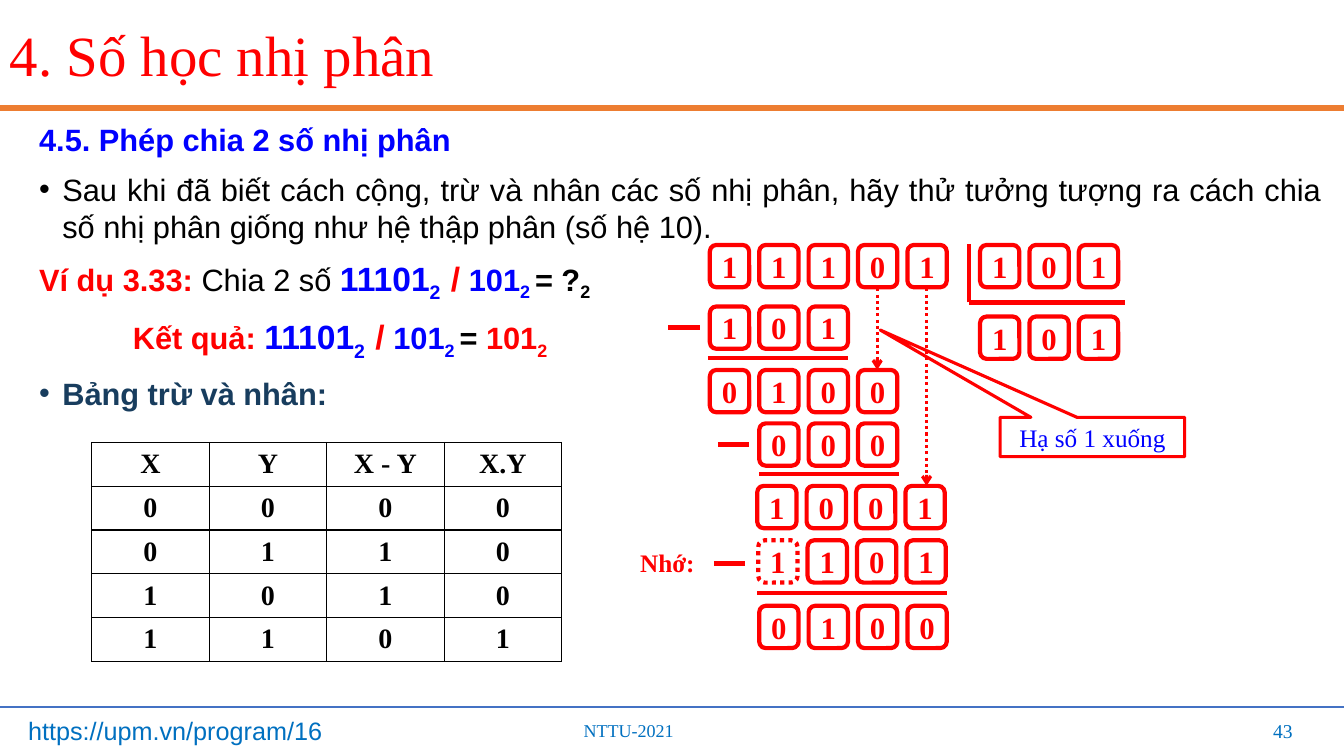
from lxml import etree
from pptx import Presentation
from pptx.dml.color import RGBColor
from pptx.enum.dml import MSO_LINE
from pptx.enum.shapes import MSO_CONNECTOR, MSO_SHAPE
from pptx.enum.text import MSO_ANCHOR, PP_ALIGN
from pptx.oxml.ns import qn
from pptx.util import Pt

PX = 9144
STRAIGHT = MSO_CONNECTOR.STRAIGHT
ROUNDED = MSO_SHAPE.ROUNDED_RECTANGLE
CALLOUT = MSO_SHAPE.RECTANGULAR_CALLOUT
DOTTED = MSO_LINE.ROUND_DOT
TOP, MIDDLE = MSO_ANCHOR.TOP, MSO_ANCHOR.MIDDLE
LEFT, CENTER, RIGHT, JUSTIFY = PP_ALIGN.LEFT, PP_ALIGN.CENTER, PP_ALIGN.RIGHT, PP_ALIGN.JUSTIFY
SANS, SERIF = "Arial", "Times New Roman"
RED, BLUE, BLACK, NAVY, FOOTER = "FF0000", "0000FF", "000000", "183D5E", "0070C0"
DIGIT_WIDTH, DIGIT_HEIGHT, PITCH = 39, 42, 49


def color(value):
    """Turn a hex string into a colour."""
    return RGBColor.from_string(value)


def px(*lengths):
    """Turn px lengths into EMU."""
    return [round(length * PX) for length in lengths]


def add_span(para, text, size=22, font=SANS, fill=BLACK, bold=False, sub=False):
    """Add one formatted run to a paragraph."""
    span = para.add_run()
    span.text = text
    span.font.size = Pt(size)
    span.font.name = font
    span.font.bold = bold
    span.font.color.rgb = color(fill)
    if sub:
        span.font._element.set("baseline", "-25000")


def add_label(page, box, text, align=LEFT, anchor=TOP, wrap=True, spacing=1.0, **style):
    """Add a text box with one line of text."""
    frame = page.shapes.add_textbox(*px(*box)).text_frame
    frame.word_wrap = wrap
    frame.vertical_anchor = anchor
    para = frame.paragraphs[0]
    para.alignment = align
    para.line_spacing = spacing
    add_span(para, text, **style)


def add_outlined(page, kind, box, text, width=3, dash=None, **style):
    """Add an unfilled red shape with centred text."""
    shape = page.shapes.add_shape(kind, *px(*box))
    shape.shadow.inherit = False
    shape.fill.background()
    shape.line.color.rgb = color(RED)
    shape.line.width = Pt(width)
    if dash:
        shape.line.dash_style = dash
    frame = shape.text_frame
    frame.margin_left = frame.margin_right = frame.margin_top = frame.margin_bottom = 0
    frame.word_wrap = False
    frame.vertical_anchor = MIDDLE
    frame.paragraphs[0].alignment = CENTER
    add_span(frame.paragraphs[0], text, font=SERIF, **style)
    return shape


def add_line(page, ends, stroke=RED, width=3, arrow=False):
    """Draw a straight line, or a dotted arrow."""
    link = page.shapes.add_connector(STRAIGHT, *px(*ends))
    link.line.color.rgb = color(stroke)
    link.line.width = Pt(width)
    if arrow:
        link.line.dash_style = DOTTED
        etree.SubElement(link.line._get_or_add_ln(), qn("a:tailEnd"), type="arrow")
    etree.SubElement(link._element.spPr, qn("a:effectLst"))


def indent(para, left, hanging=0, bullet=None):
    """Set paragraph indents and an optional bullet."""
    properties = para._p.get_or_add_pPr()
    properties.set("marL", str(left * PX))
    properties.set("indent", str(-hanging * PX))
    if bullet:
        etree.SubElement(properties, qn("a:buFont"), typeface=SANS)
        etree.SubElement(properties, qn("a:buChar"), char=bullet)


def add_division(para):
    """Write the binary division expression."""
    add_span(para, "11101", size=24, fill=BLUE, bold=True)
    add_span(para, "2 ", size=24, fill=BLUE, bold=True, sub=True)
    add_span(para, " ", fill=BLUE, bold=True, sub=True)
    add_span(para, "/", size=24, fill=RED, bold=True)
    add_span(para, " ")
    add_span(para, "101", fill=BLUE, bold=True)
    add_span(para, "2 ", fill=BLUE, bold=True, sub=True)


def add_frame(page, width):
    """Place the title, the rules and the footer."""
    add_line(page, (0, 107, width, 107), "ED7D31", 4.5)
    add_line(page, (0, 701, width, 701), "4472C4", 1.5)
    add_label(page, (0, 3, width, 110), "4. Số học nhị phân", anchor=MIDDLE,
              spacing=0.9, size=40.6, font=SERIF, fill=RED)
    add_label(page, (18, 705, 343, 40), "https://upm.vn/program/16", size=18, fill=FOOTER)
    add_label(page, (569, 709, 178, 32), "NTTU-2021", size=12.9, font=SERIF, fill=FOOTER)
    add_label(page, (992, 705, 300, 40), "43", align=RIGHT, anchor=MIDDLE,
              size=14, font=SERIF, fill=FOOTER)


def add_body(page, box):
    """Write the heading, the explanation and the example."""
    frame = page.shapes.add_textbox(*px(*box)).text_frame
    frame.word_wrap = True
    heading = frame.paragraphs[0]
    intro, example, result, tables = [frame.add_paragraph() for _ in range(4)]
    for para in (intro, example, result, tables):
        para.space_before = Pt(9.2)
    heading.alignment = intro.alignment = JUSTIFY
    indent(intro, 23, 23, "•")
    indent(result, 93)
    indent(tables, 23, 23, "•")
    add_span(heading, "4.5. Phép chia 2 số nhị phân", fill=BLUE, bold=True)
    add_span(intro, "Sau khi đã biết cách cộng, trừ và nhân các số nhị phân, hãy thử tưởng "
                    "tượng ra cách chia số nhị phân giống như hệ thập phân (số hệ 10).")
    add_span(example, "Ví dụ 3.33: ", fill=RED, bold=True)
    add_span(example, "Chia 2 số ")
    add_division(example)
    add_span(example, "= ?", bold=True)
    add_span(example, "2", bold=True, sub=True)
    add_span(result, "Kết quả: ", fill=RED, bold=True)
    add_division(result)
    add_span(result, "= ", bold=True)
    add_span(result, "101", fill=RED, bold=True)
    add_span(result, "2", fill=RED, bold=True, sub=True)
    add_span(tables, "Bảng trừ và nhân:", fill=NAVY, bold=True)


def add_border(cell):
    """Give a cell thin black borders and no fill."""
    properties = cell._tc.get_or_add_tcPr()
    for side in ("a:lnL", "a:lnR", "a:lnT", "a:lnB"):
        edge = etree.SubElement(properties, qn(side), w=str(Pt(1)))
        fill = etree.SubElement(edge, qn("a:solidFill"))
        etree.SubElement(fill, qn("a:srgbClr"), val=BLACK)
    cell.fill.background()


def add_truth_table(page, box):
    """Tabulate subtraction and multiplication of two bits."""
    rows = [("X", "Y", "X - Y", "X.Y"), "0000", "0110", "1010", "1101"]
    table = page.shapes.add_table(len(rows), 4, *px(*box)).table
    table.first_row = table.horz_banding = False
    for row, values in enumerate(rows):
        for column, value in enumerate(values):
            cell = table.cell(row, column)
            add_border(cell)
            cell.vertical_anchor = MIDDLE
            para = cell.text_frame.paragraphs[0]
            para.alignment = CENTER
            add_span(para, value, size=20, font=SERIF, bold=True)


def add_digits(page, left, top, digits, dotted_first=False):
    """Place a row of boxed digits."""
    for place, digit in enumerate(digits):
        add_outlined(page, ROUNDED, (left + place * PITCH, top, DIGIT_WIDTH, DIGIT_HEIGHT),
                     digit, dash=DOTTED if dotted_first and place == 0 else None,
                     fill=RED, bold=True)


def add_long_division(page, left, top):
    """Lay out the long division from its top left corner."""
    rows = [(79, 1, "11101"), (347, 1, "101"), (347, 72, "101"), (79, 62, "101"),
            (79, 125, "0100"), (128, 178, "000"), (126, 240, "1001"), (128, 359, "0100")]
    for across, down, digits in rows:
        add_digits(page, left + across, top + down, digits)
    add_digits(page, left + 127, top + 294, "1101", dotted_first=True)
    bars = [(336, 58, 155), (77, 113, 139), (128, 228, 139), (126, 346, 188)]
    minuses = [(38, 83, 31), (87, 199, 31), (83, 317, 31)]
    for across, down, length in bars + minuses:
        add_line(page, (left + across, top + down, left + across + length, top + down))
    add_line(page, (left + 336, top + 58, left + 336, top))
    for across, end in ((245, 125), (294, 240)):
        add_line(page, (left + across, top + 44, left + across, top + end), width=2.25, arrow=True)
    add_label(page, (left, top + 296, 75, 40), "Nhớ:", wrap=False,
              size=18, font=SERIF, fill=RED, bold=True)
    note = add_outlined(page, CALLOUT, (left + 367, top + 172, 183, 39), "Hạ số 1 xuống",
                        width=2.25, size=18, fill=BLUE)
    note.adjustments[0], note.adjustments[1] = -1.15, -2.72


def main():
    """Build and save the slide."""
    deck = Presentation()
    deck.slide_width, deck.slide_height = px(1333, 750)
    page = deck.slides.add_slide(deck.slide_layouts[6])
    add_frame(page, 1333)
    add_body(page, (29, 115, 1292, 576))
    add_long_division(page, 625, 242)
    add_truth_table(page, (91, 439, 466, 216))
    deck.save("out.pptx")


if __name__ == "__main__":
    main()
